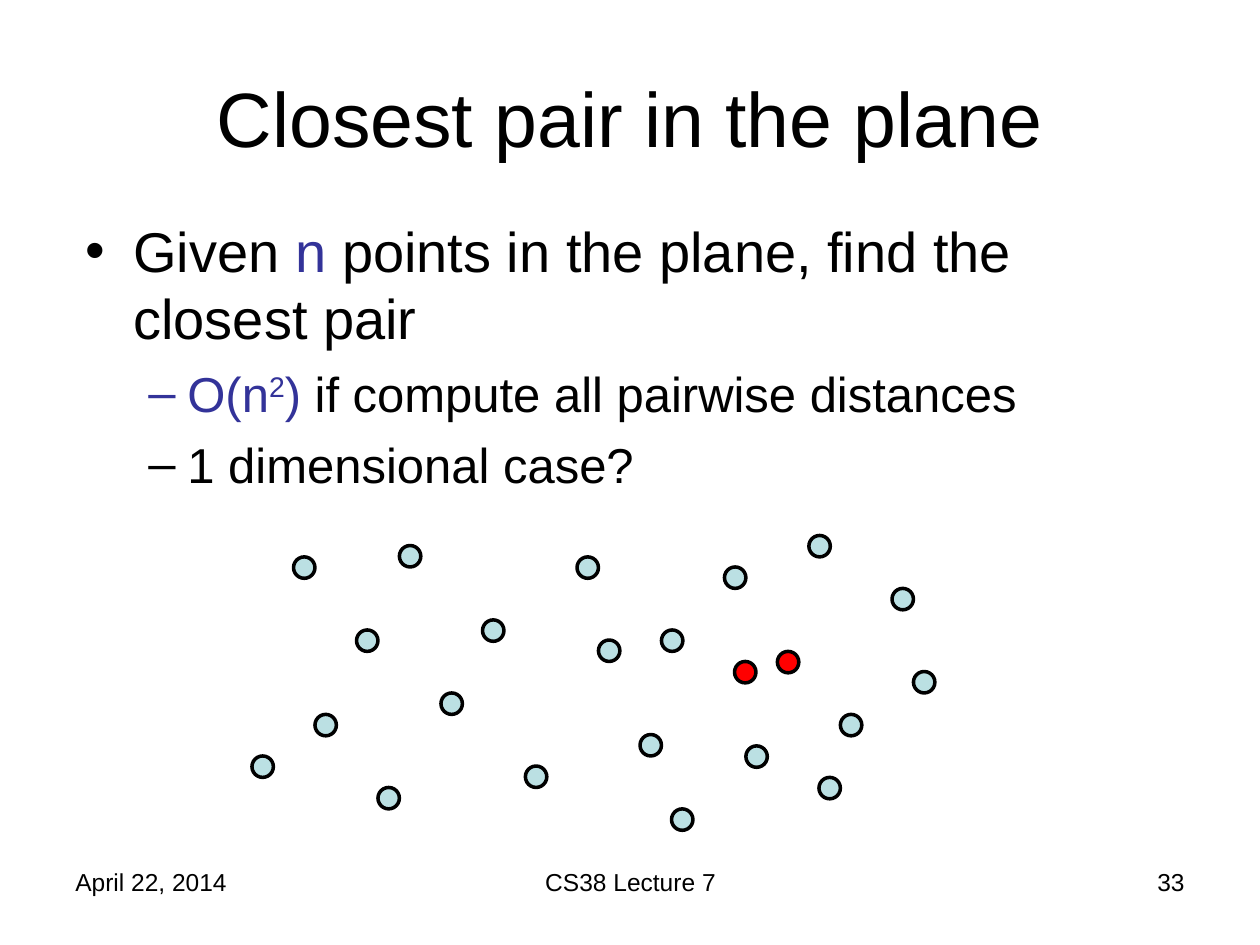
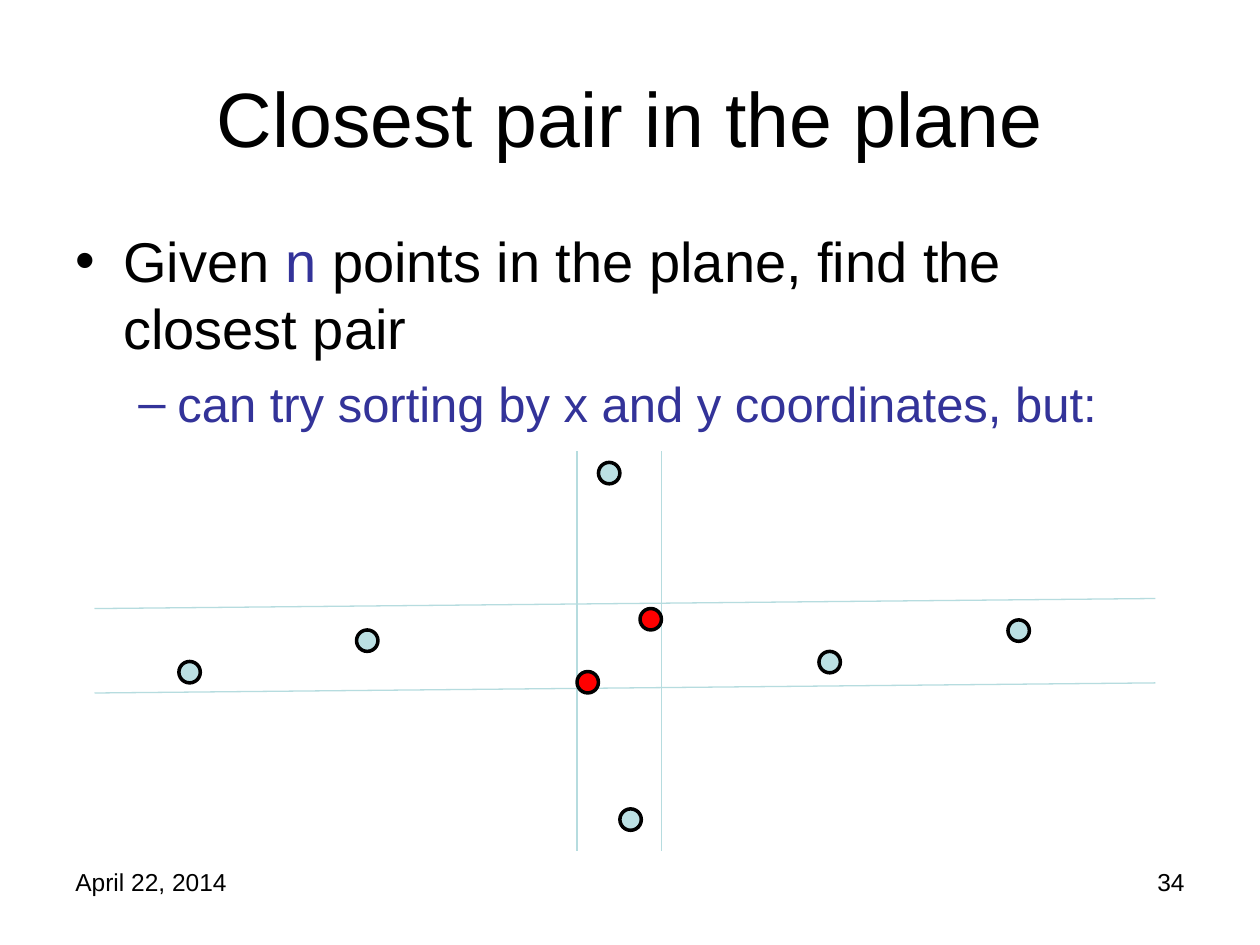
from typing import NamedTuple

from lxml.etree import SubElement
from pptx import Presentation
from pptx.dml.color import RGBColor
from pptx.enum.shapes import MSO_CONNECTOR, MSO_SHAPE
from pptx.enum.text import MSO_ANCHOR, PP_ALIGN
from pptx.oxml.ns import qn
from pptx.util import Inches, Pt

FONT = "Arial"
BLACK, BLUE = "000000", "333399"
POINT_FILL, CLOSEST_FILL, GUIDE = "BBE0E3", "FF0000", "B6DCDF"
POINT_SIZE = 0.17
TITLE = "Closest pair in the plane"
DATE, LECTURE = "April 22, 2014", "CS38 Lecture 7"
FOOTER_TOP, FOOTER_HEIGHT = 6.83, 0.52


class Run(NamedTuple):
    text: str
    color: str = BLACK
    superscript: bool = False


class Level(NamedTuple):
    bullet: str
    size: int
    margin: float
    hanging: float
    space_before: int


class Item(NamedTuple):
    level: int
    runs: list[Run]


class Label(NamedTuple):
    text: str
    left: float
    top: float
    width: float
    height: float
    size: int
    align: PP_ALIGN
    anchor: MSO_ANCHOR = MSO_ANCHOR.TOP


class Guide(NamedTuple):
    x1: float
    y1: float
    x2: float
    y2: float


class ClosestPairSlide(NamedTuple):
    number: int
    body_left: float
    body_top: float
    items: list[Item]
    points: list[tuple[float, float]]
    closest: list[tuple[float, float]]
    guides: list[Guide]
    lecture: str = ""


LEVELS = [Level("•", 32, 0.38, 0.38, 8), Level("–", 28, 0.81, 0.31, 7)]
PROBLEM = Item(0, [Run("Given "), Run("n", BLUE),
                   Run(" points in the plane, find the closest pair")])

SLIDES = [
    ClosestPairSlide(
        number=33, body_left=0.58, body_top=1.67, lecture=LECTURE,
        items=[
            PROBLEM,
            Item(1, [Run("O(n", BLUE), Run("2", BLUE, True), Run(") ", BLUE),
                     Run("if compute all pairwise distances")]),
            Item(1, [Run("1 dimensional case?")]),
        ],
        points=[
            (2.83, 5), (3.83, 4.92), (3.5, 5.5), (5.08, 5.83), (4.17, 6.08),
            (3, 6.25), (3.17, 4.33), (4.58, 4.42), (4.75, 5.08), (5.25, 5),
            (5.75, 4.5), (5.92, 5.92), (5.33, 6.42), (6.42, 4.25), (7.08, 4.67),
            (6.5, 6.17), (6.67, 5.67), (7.25, 5.33), (2.33, 4.42), (2.5, 5.67),
            (2, 6),
        ],
        closest=[(5.83, 5.25), (6.17, 5.17)],
        guides=[],
    ),
    ClosestPairSlide(
        number=34, body_left=0.5, body_top=1.75,
        items=[
            PROBLEM,
            Item(1, [Run("can try sorting by x and y coordinates, but:", BLUE)]),
        ],
        points=[(6.5, 5.17), (8, 4.92), (4.92, 6.42), (2.83, 5), (1.42, 5.25),
                (4.75, 3.67)],
        closest=[(5.08, 4.83), (4.58, 5.33)],
        guides=[Guide(0.75, y, 9.17, y - 0.08) for y in (4.83, 5.5)]
        + [Guide(x, 3.58, x, 6.75) for x in (4.58, 5.25)],
    ),
]


def rgb(color: str) -> RGBColor:
    return RGBColor.from_string(color)


def add_run(p, run: Run, size: int) -> None:
    r = p.add_run()
    r.text = run.text
    for name, value in {"name": FONT, "size": Pt(size)}.items():
        setattr(r.font, name, value)
    r.font.color.rgb = rgb(run.color)
    if run.superscript:
        r.font._element.set("baseline", "30000")


def add_text_frame(slide, left: float, top: float, width: float, height: float):
    tf = slide.shapes.add_textbox(
        Inches(left), Inches(top), Inches(width), Inches(height)).text_frame
    tf.word_wrap = True
    return tf


def add_label(slide, label: Label) -> None:
    tf = add_text_frame(slide, label.left, label.top, label.width, label.height)
    tf.vertical_anchor = label.anchor
    p = tf.paragraphs[0]
    p.alignment = label.align
    add_run(p, Run(label.text), label.size)


def set_bullet(p, level: Level, color: str) -> None:
    pPr = p._p.get_or_add_pPr()
    pPr.set("marL", str(Inches(level.margin)))
    pPr.set("indent", str(-Inches(level.hanging)))
    SubElement(SubElement(pPr, qn("a:buClr")), qn("a:srgbClr"), val=color)
    SubElement(pPr, qn("a:buFont"), typeface=FONT)
    SubElement(pPr, qn("a:buChar"), char=level.bullet)


def add_body(slide, left: float, top: float, items: list[Item]) -> None:
    tf = add_text_frame(slide, left, top, 9, 4.95)
    for i, item in enumerate(items):
        p = tf.add_paragraph() if i else tf.paragraphs[0]
        level = LEVELS[item.level]
        p.level = item.level
        set_bullet(p, level, item.runs[0].color)
        if i:
            p.space_before = Pt(level.space_before)
        for run in item.runs:
            add_run(p, run, level.size)


def add_point(slide, left: float, top: float, color: str) -> None:
    sp = slide.shapes.add_shape(MSO_SHAPE.OVAL, Inches(left), Inches(top),
                                Inches(POINT_SIZE), Inches(POINT_SIZE))
    sp.shadow.inherit = False
    sp.fill.solid()
    sp.fill.fore_color.rgb = rgb(color)
    sp.line.color.rgb = rgb(BLACK)
    sp.line.width = Pt(2)


def add_guide(slide, guide: Guide) -> None:
    line = slide.shapes.add_connector(
        MSO_CONNECTOR.STRAIGHT, *(Inches(value) for value in guide))
    line.line.color.rgb = rgb(GUIDE)
    line.line.width = Pt(0.75)
    SubElement(line._element.spPr, qn("a:effectLst"))


def add_title_and_footers(slide, number: int, lecture: str) -> None:
    labels = [
        Label(TITLE, 0.5, 0.3, 9, 1.25, 44, PP_ALIGN.CENTER, MSO_ANCHOR.MIDDLE)]
    for text, left, width, align in [
        (DATE, 0.5, 2.33, PP_ALIGN.LEFT),
        (lecture, 3.42, 3.17, PP_ALIGN.CENTER),
        (str(number), 7.17, 2.33, PP_ALIGN.RIGHT),
    ]:
        if text:
            labels.append(
                Label(text, left, FOOTER_TOP, width, FOOTER_HEIGHT, 14, align))
    for label in labels:
        add_label(slide, label)


def build_slide(prs, content: ClosestPairSlide) -> None:
    slide = prs.slides.add_slide(prs.slide_layouts[6])
    add_title_and_footers(slide, content.number, content.lecture)
    add_body(slide, content.body_left, content.body_top, content.items)
    for guide in content.guides:
        add_guide(slide, guide)
    for color, places in ((POINT_FILL, content.points),
                          (CLOSEST_FILL, content.closest)):
        for left, top in places:
            add_point(slide, left, top, color)


def main() -> None:
    prs = Presentation()
    prs.slide_width, prs.slide_height = Inches(10), Inches(7.5)
    for content in SLIDES:
        build_slide(prs, content)
    prs.save("out.pptx")


if __name__ == "__main__":
    main()
